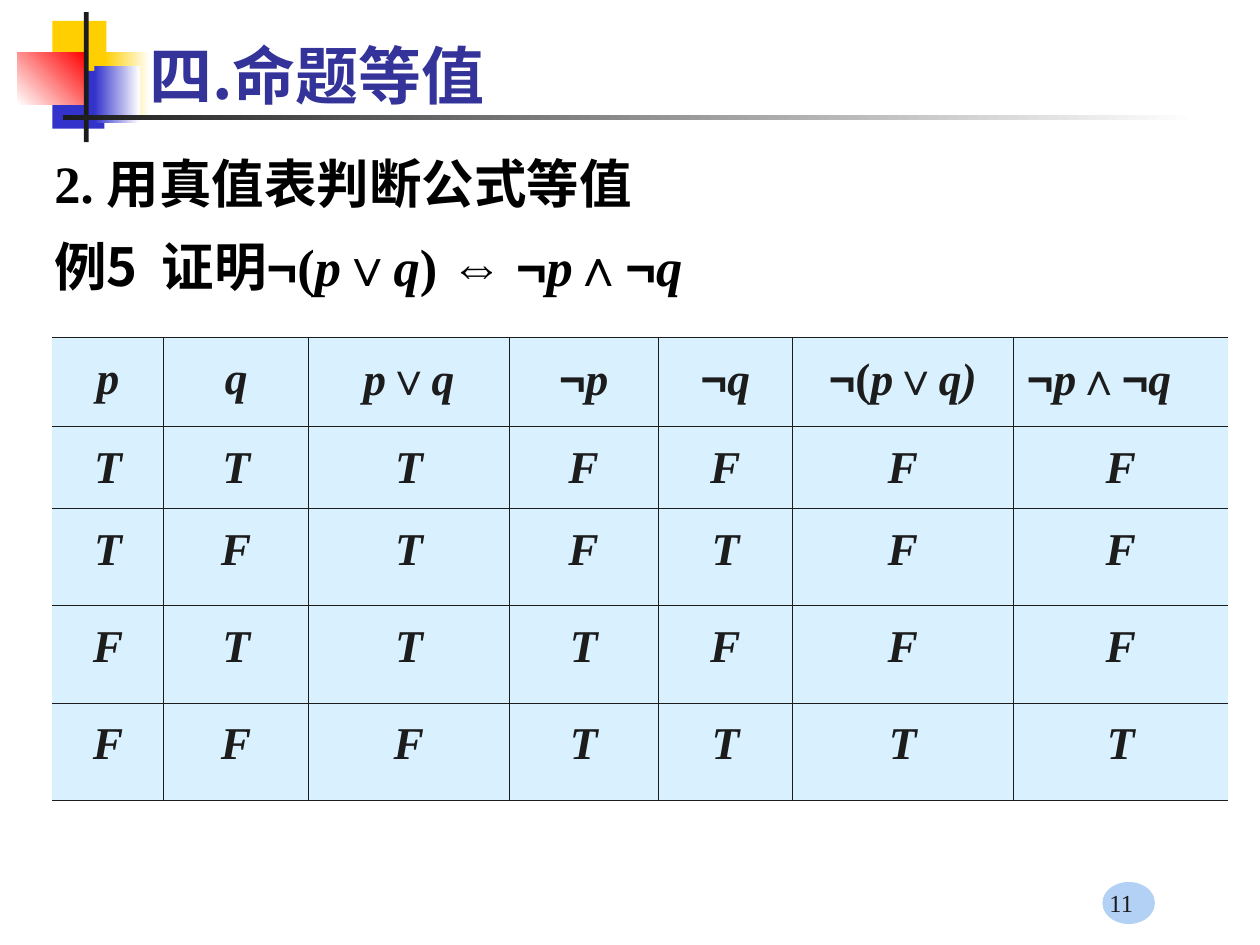
from itertools import groupby

from lxml import etree
from pptx import Presentation, util as u
from pptx.dml.color import RGBColor
from pptx.enum import shapes, text
from pptx.oxml.ns import qn

COLS, ROWS = 120, 90
WIDE, HIGH = u.Inches(10), u.Inches(7.5)
HUES = {"ink": "1C1C1C", "black": "000000", "white": "FFFFFF", "title": "333399",
        "gold": "FFCF01", "blue": "3333CC", "red": "FF0000", "cell": "D9F1FF", "badge": "B2D1F4"}
SERIF, SANS, HAN, MIX = "Times New Roman", "Arial", "Noto Sans CJK SC", "Roboto"
HEADS = ["p", "q", "p∨q", "¬p", "¬q", "¬(p∨q)", "¬p∧¬q"]
TRUTH = ["TTTFFFF", "TFTFTFF", "FTTTFFF", "FFFTTTT"]
SPANS = [10.6, 13.8, 19.1, 14.2, 12.8, 21, 20.5]
TIERS = [8.5, 7.8, 9.25, 9.25, 9.25]
PLAIN = "{2D5ABB26-0587-4C30-8999-92F81FD0307C}"


def hue(name):
    return RGBColor.from_string(HUES[name])


def across(n):
    return round(WIDE * n / COLS)


def down(n):
    return round(HIGH * n / ROWS)


def place(x, y, w, h):
    return across(x), down(y), across(w), down(h)


def put(par, words, font=SERIF, size=30, color="black", bold=True, slant=False):
    run = par.add_run()
    run.text = words
    face = run.font
    face.name, face.size, face.bold, face.italic = font, u.Pt(size), bold, slant
    face.color.rgb = hue(color)
    east = etree.SubElement(run._r.get_or_add_rPr(), qn("a:ea"))
    east.set("typeface", font)


def logic(par, words, slanted="pqTF", **form):
    kinds = groupby(words, lambda c: (c in "¬∨∧⇔", c in slanted))
    for (sign, slant), part in kinds:
        put(par, "".join(part), font=SANS if sign else SERIF, slant=slant, **form)


def block(slide, box, color, fade=None, angle=0, kind=shapes.MSO_SHAPE.RECTANGLE):
    shape = slide.shapes.add_shape(kind, *place(*box))
    shape.shadow.inherit = False
    shape.line.fill.background()
    if fade is None:
        shape.fill.solid()
        shape.fill.fore_color.rgb = hue(color)
        return
    shape.fill.gradient()
    shape.fill.gradient_angle = angle
    for stop, name in zip(shape.fill.gradient_stops, (color, fade)):
        stop.color.rgb = hue(name)


def label(slide, box):
    frame = slide.shapes.add_textbox(*place(*box)).text_frame
    frame.word_wrap = True
    return frame


def rule(cell, side, shown):
    line = etree.SubElement(cell._tc.get_or_add_tcPr(), qn("a:ln" + side), w=str(u.Pt(0.45)))
    if shown:
        fill = etree.SubElement(line, qn("a:solidFill"))
        etree.SubElement(fill, qn("a:srgbClr"), val=HUES["ink"])
    else:
        etree.SubElement(line, qn("a:noFill"))


def decor(slide):
    block(slide, (105, 84, 5, 4), "badge", kind=shapes.MSO_SHAPE.OVAL)
    block(slide, (5, 2, 5.15, 5.5), "gold")
    block(slide, (10, 5, 4.3, 6.25), "gold", "white")
    block(slide, (5, 6.75, 4.95, 5.5), "blue")
    block(slide, (9, 6.25, 4.3, 5.5), "blue", "white")
    block(slide, (1.63, 5, 6.6, 4.95), "white", "red", 45)
    block(slide, (8, 1.15, 0.45, 12.4), "ink")
    block(slide, (6, 11, 108, 0.45), "ink", "white")


def head(slide):
    title = slide.shapes.title
    title.left, title.top, title.width, title.height = place(13, 3, 102.2, 8.2)
    slide.shapes._spTree.append(title._element)
    frame = title.text_frame
    frame.vertical_anchor = text.MSO_ANCHOR.MIDDLE
    par = frame.paragraphs[0]
    par.alignment = text.PP_ALIGN.LEFT
    put(par, "四.命题等值", font=HAN, size=36, color="title")


def table(slide):
    grid = slide.shapes.add_table(len(TIERS), len(SPANS),
                                  *place(5, 32.15, sum(SPANS), sum(TIERS))).table
    grid._tbl.tblPr.find(qn("a:tableStyleId")).text = PLAIN
    for col, span in zip(grid.columns, SPANS):
        col.width = across(span)
    last = len(SPANS) - 1
    for r, (tier, words) in enumerate(zip(TIERS, [HEADS, *TRUTH])):
        grid.rows[r].height = down(tier)
        for c, word in enumerate(words):
            cell = grid.cell(r, c)
            cell.margin_left = cell.margin_right = u.Inches(0.11)
            for side, shown in (("L", c > 0), ("R", c < last), ("T", True), ("B", True)):
                rule(cell, side, shown)
            cell.fill.solid()
            cell.fill.fore_color.rgb = hue("cell")
            par = cell.text_frame.paragraphs[0]
            left = (r, c) == (0, last)
            par.alignment = text.PP_ALIGN.LEFT if left else text.PP_ALIGN.CENTER
            par.line_spacing, par.space_before = 1.2, u.Pt(6.5)
            logic(par, word, slanted="pqTF)", size=26, color="ink")


def body(slide):
    frame = label(slide, (4, 13.8, 108, 15))
    first, second = frame.paragraphs[0], frame.add_paragraph()
    for par, gap in ((first, 7.5), (second, 11.2)):
        par.line_spacing, par.space_before = 1.0, u.Pt(gap)
        props = par._p.get_or_add_pPr()
        props.set("marL", str(u.Inches(0.38)))
        props.set("indent", str(u.Inches(-0.38)))
    put(first, "2. ")
    put(first, "用真值表判断公式等值", font=MIX)
    put(second, "例5  ", font=HAN)
    put(second, "证明", font=MIX)
    logic(second, "¬(p∨q) ⇔ ¬p∧¬q")


def page(slide):
    frame = label(slide, (84.1, 82, 25, 6))
    frame.vertical_anchor = text.MSO_ANCHOR.BOTTOM
    par = frame.paragraphs[0]
    par.alignment = text.PP_ALIGN.RIGHT
    put(par, "11", size=14, color="ink", bold=False)


def main():
    deck = Presentation()
    deck.slide_width, deck.slide_height = WIDE, HIGH
    slide = deck.slides.add_slide(deck.slide_layouts[5])
    for part in (decor, head, table, body, page):
        part(slide)
    deck.save("out.pptx")


if __name__ == "__main__":
    main()
